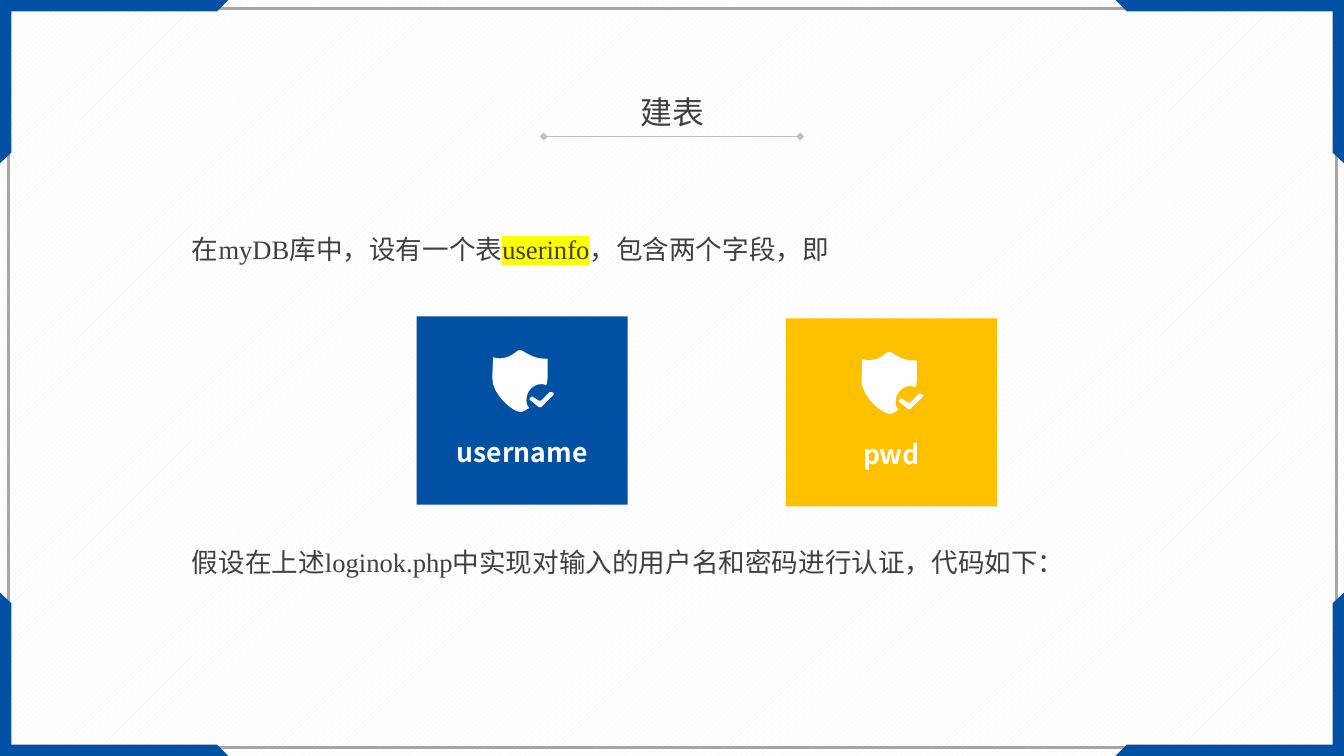
from dataclasses import dataclass, field
from typing import Any

from lxml import etree
from pptx import Presentation
from pptx.dml.color import RGBColor
from pptx.enum import dml, shapes, text
from pptx.oxml.ns import qn
from pptx.util import Cm, Pt

COLORS = {
    "blue": "0050A3", "gold": "FFC000", "white": "FFFFFF", "ink": "404040",
    "frame": "A6A6A6", "rule": "BFBFBF", "stripe": "F2F2F2", "mark": "FFFF00",
}
SERIF, SANS = "Times New Roman", "Noto Sans CJK SC"
SLIDE_W, SLIDE_H = 35.71, 20.09
CARD_W, CARD_H = 5.61, 5.0

Point = tuple[float, float]

# Outlines in cm; a six-number step is a Bézier curve, a two-number step a line
CORNER = [(0, 0), (6.07, 0), (5.77, 0.3), (0.3, 0.3), (0.3, 4.06), (0, 4.34)]
SHIELD = [
    (0.91, 1.32), (0.91, 1.09, 1.09, 0.91, 1.3, 0.91),
    (1.35, 0.91, 1.37, 0.91, 1.42, 0.94), (1.45, 0.91),
    (1.45, 0.86, 1.47, 0.79, 1.47, 0.74), (1.47, 0.25),
    (1.47, 0.23, 1.45, 0.23, 1.42, 0.23), (1.35, 0.23, 1.24, 0.23, 1.17, 0.2),
    (0.97, 0.15, 0.79, 0, 0.74, 0), (0.66, 0, 0.56, 0.15, 0.36, 0.2),
    (0.25, 0.23, 0.13, 0.23, 0.05, 0.2), (0.03, 0.2, 0.02, 0.2, 0.02, 0.25),
    (0, 0.74), (0, 1.22, 0.58, 1.65, 0.74, 1.65),
    (0.79, 1.65, 0.84, 1.63, 0.97, 1.55), (0.97, 1.52),
    (0.91, 1.47, 0.91, 1.37, 0.91, 1.32),
]
CHECK = [
    (1.3, 1.52), (1.24, 1.52), (0.99, 1.32), (0.99, 1.3), (1.04, 1.24), (1.07, 1.24),
    (1.24, 1.35), (1.3, 1.35), (1.52, 1.12), (1.57, 1.12), (1.63, 1.14), (1.63, 1.19),
]


@dataclass
class Label:
    left: float
    top: float
    width: float
    height: float
    runs: list[str]
    color: str = "ink"
    font: dict[str, Any] = field(default_factory=dict)
    para: dict[str, Any] = field(default_factory=dict)
    wrap: bool = True
    marked: str = ""


@dataclass
class Card:
    left: float
    top: float
    name: str
    color: str
    label_width: float


CENTERED = {"alignment": text.PP_ALIGN.CENTER}
BODY = {
    "font": {"name": SERIF, "size": Pt(20)},
    "para": {"alignment": text.PP_ALIGN.JUSTIFY, "line_spacing": 1.5},
}
LABELS = [
    Label(16.74, 2.34, 2.24, 1.27, ["建表"], font={"name": SERIF, "size": Pt(24)},
          para=CENTERED, wrap=False),
    Label(4.85, 5.64, 28.07, 1.55,
          ["在myDB库中，设有一个表", "userinfo", "，包含两个字段，即"],
          marked="userinfo", **BODY),
    Label(4.85, 13.97, 28.07, 1.55,
          ["假设在上述loginok.php中实现对输入的用户名和密码进行认证，代码如下："], **BODY),
]
CARDS = [
    Card(11.07, 8.41, "username", "blue", 4.14),
    Card(20.88, 8.46, "pwd", "gold", 3.05),
]


def rgb(name: str) -> RGBColor:
    return RGBColor.from_string(COLORS[name])


def apply(target: Any, values: dict[str, Any]) -> None:
    for key, value in values.items():
        setattr(target, key, value)


def paint(sp: Any, color: str) -> None:
    sp.shadow.inherit = False
    sp.fill.solid()
    sp.fill.fore_color.rgb = rgb(color)
    sp.line.fill.background()


def add_rect(s: Any, left: float, top: float, width: float, height: float) -> Any:
    return s.shapes.add_shape(
        shapes.MSO_SHAPE.RECTANGLE, Cm(left), Cm(top), Cm(width), Cm(height))


def flatten(steps: list[tuple[float, ...]], parts: int = 8) -> list[Point]:
    points = [steps[0]]
    for step in steps[1:]:
        if len(step) == 2:
            points.append(step)
            continue
        ends = [points[-1], step[:2], step[2:4], step[4:]]
        for i in range(1, parts + 1):
            t = i / parts
            weights = ((1 - t) ** 3, 3 * t * (1 - t) ** 2, 3 * t * t * (1 - t), t ** 3)
            points.append(tuple(
                sum(w * end[axis] for w, end in zip(weights, ends)) for axis in (0, 1)))
    return points


def add_outline(s: Any, points: list[Point], color: str) -> None:
    start, *rest = [(Cm(x), Cm(y)) for x, y in points]
    builder = s.shapes.build_freeform(*start)
    builder.add_line_segments(rest, close=True)
    paint(builder.convert_to_shape(), color)


def add_label(s: Any, label: Label) -> None:
    box = s.shapes.add_textbox(
        Cm(label.left), Cm(label.top), Cm(label.width), Cm(label.height))
    tf = box.text_frame
    tf.word_wrap = label.wrap
    tf.auto_size = text.MSO_AUTO_SIZE.SHAPE_TO_FIT_TEXT
    p = tf.paragraphs[0]
    apply(p, label.para)
    for words in label.runs:
        r = p.add_run()
        r.text = words
        apply(r.font, label.font)
        r.font.color.rgb = rgb(label.color)
        latin = r.font._element.find(qn("a:latin"))
        east_asian = etree.Element(qn("a:ea"), typeface=SANS)
        latin.addnext(east_asian)
        if words == label.marked:
            highlight = etree.Element(qn("a:highlight"))
            etree.SubElement(highlight, qn("a:srgbClr"), val=COLORS["mark"])
            latin.addprevious(highlight)


def add_card(s: Any, card: Card) -> None:
    paint(add_rect(s, card.left, card.top, CARD_W, CARD_H), card.color)
    add_label(s, Label(
        card.left + (CARD_W - card.label_width) / 2, card.top + 3.05,
        card.label_width, 1.12, [card.name], "white",
        {"name": SANS, "size": Pt(20), "bold": True}, CENTERED))
    for outline in (SHIELD, CHECK):
        add_outline(s, [(card.left + 2.01 + x, card.top + 0.89 + y)
                        for x, y in flatten(outline)], "white")


def add_title_rule(s: Any) -> None:
    rule = s.shapes.add_connector(
        shapes.MSO_CONNECTOR.STRAIGHT, Cm(14.45), Cm(3.63), Cm(21.26), Cm(3.63))
    rule.line.color.rgb = rgb("rule")
    rule.line.width = Pt(0.5)
    for end in ("a:headEnd", "a:tailEnd"):
        etree.SubElement(rule.line._get_or_add_ln(), qn(end), type="diamond")
    etree.SubElement(rule._element.spPr, qn("a:effectLst"))


def main() -> None:
    prs = Presentation()
    prs.slide_width, prs.slide_height = Cm(SLIDE_W), Cm(SLIDE_H)
    s = prs.slides.add_slide(prs.slide_layouts[6])

    # Striped background
    fill = s.background.fill
    fill.patterned()
    fill.pattern = dml.MSO_PATTERN.WIDE_UPWARD_DIAGONAL
    fill.fore_color.rgb, fill.back_color.rgb = rgb("stripe"), rgb("white")

    # Frame and mirrored corners
    frame = add_rect(s, 0.23, 0.23, 35.28, 19.63)
    frame.shadow.inherit = False
    frame.fill.background()
    frame.line.color.rgb = rgb("frame")
    frame.line.width = Pt(2)
    for right in (False, True):
        for bottom in (False, True):
            add_outline(s, [(SLIDE_W - x if right else x, SLIDE_H - y if bottom else y)
                            for x, y in CORNER], "blue")

    # Title rule, field cards and text
    add_title_rule(s)
    for card in CARDS:
        add_card(s, card)
    for label in LABELS:
        add_label(s, label)

    prs.save("out.pptx")


if __name__ == "__main__":
    main()
